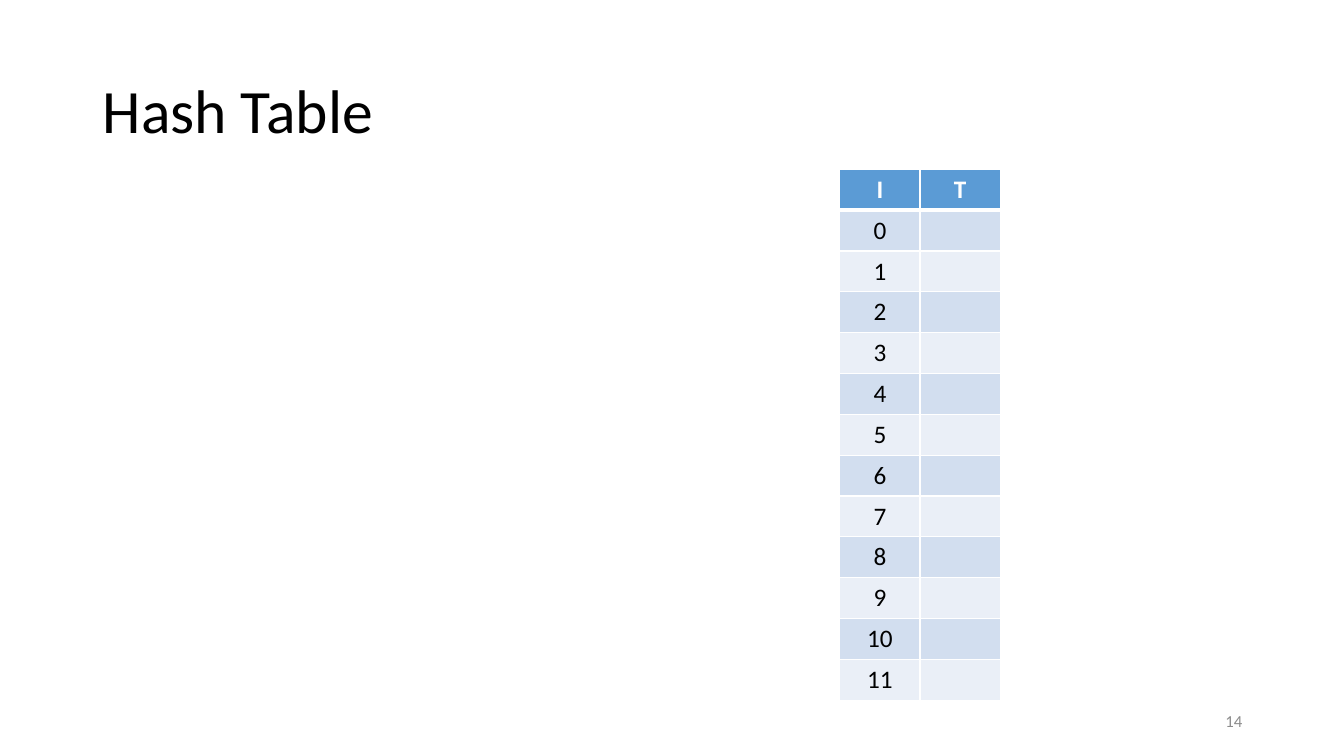
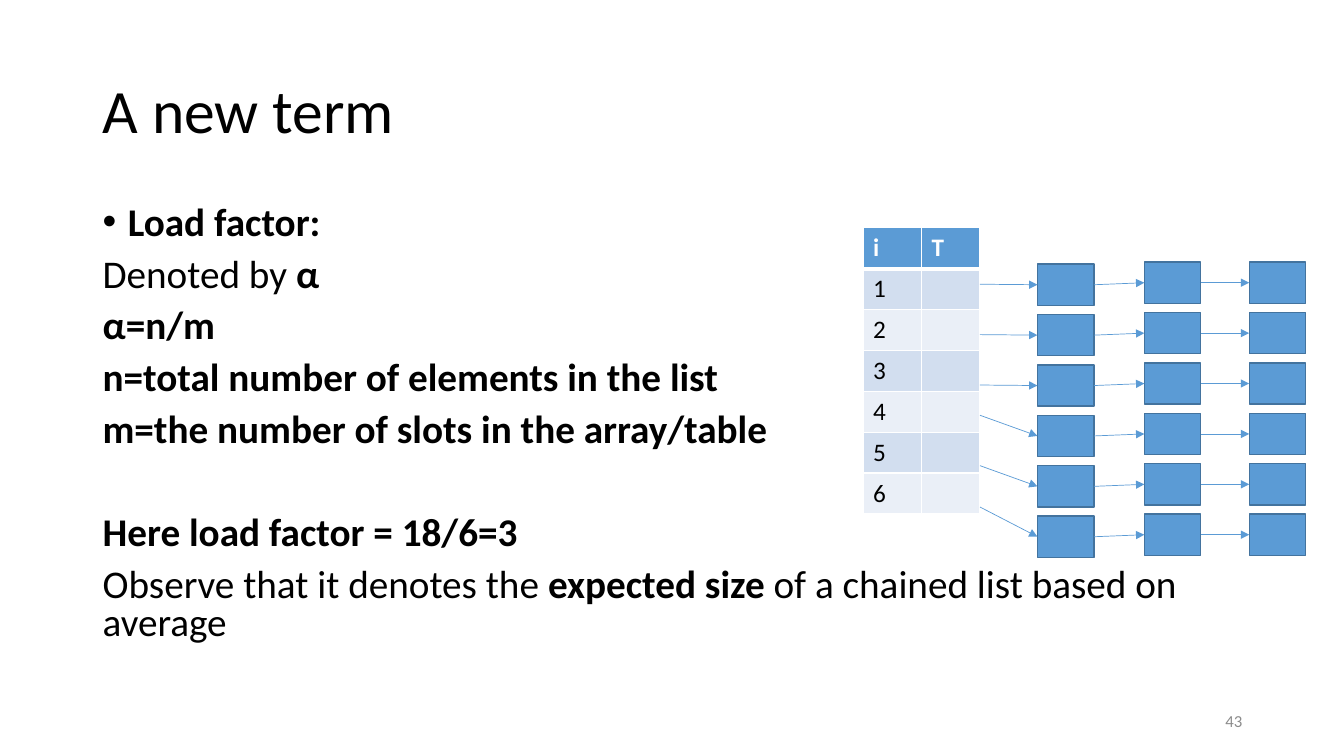
import pptx
import pptx.util
import pptx.dml.color
import pptx.enum.shapes
import pptx.enum.text
import pptx.oxml.ns
from dataclasses import dataclass
from lxml import etree

Inches = pptx.util.Inches
Pt = pptx.util.Pt
ALIGN = pptx.enum.text.PP_ALIGN
ANCHOR = pptx.enum.text.MSO_ANCHOR
qn = pptx.oxml.ns.qn


@dataclass(frozen=True)
class Theme:
    font: str = "Calibri"
    ink: str = "000000"
    white: str = "FFFFFF"
    accent: str = "5B9BD5"
    outline: str = "43739E"
    bands: tuple = ("D2DEEF", "EAEFF7")
    muted: str = "8C8C8C"
    title_size: int = 44
    body_size: int = 28
    table_size: int = 18
    footer_size: int = 12


THEME = Theme()

HASH_TABLE = {"title": "Hash Table", "number": "14", "header": ("I", "T"), "slots": range(12)}
LOAD_FACTOR = {"title": "A new term", "number": "43", "header": ("i", "T"), "slots": range(1, 7)}

# Each paragraph: (bulleted, space before in points, [(text, bold), ...])
GAP, WIDE_GAP = 10, 47
LOAD_FACTOR_TEXT = [
    (True, GAP, [("Load factor:", True)]),
    (False, GAP, [("Denoted by ", False), ("α", True)]),
    (False, GAP, [("α=n/m", True)]),
    (False, GAP, [("n=total number of elements in the list", True)]),
    (False, GAP, [("m=the number of slots in the array/table", True)]),
    (False, WIDE_GAP, [("Here load factor = 18/6=3", True)]),
    (False, GAP, [("Observe that it denotes the ", False), ("expected size", True),
                  (" of a chained list based on average", False)]),
]

# Chained lists: arrow heights at the table edge, then the grid of nodes
TABLE_EDGE = 9.72
ARROW_STARTS = (2.82, 3.32, 3.82, 4.12, 4.62, 5.03)
NODE_COLUMNS = ((10.29, 2.62), (11.35, 2.6), (12.39, 2.6))
NODE_WIDTH, NODE_HEIGHT, CHAIN_PITCH = 0.56, 0.41, 0.5


def color(value):
    return pptx.dml.color.RGBColor.from_string(value)


def add_run(paragraph, text, size, ink=THEME.ink, bold=False):
    run = paragraph.add_run()
    run.text = text
    run.font.name = THEME.font
    run.font.size = Pt(size)
    run.font.bold = bold
    run.font.color.rgb = color(ink)


def add_text_frame(slide, left, top, width, height, anchor):
    box = slide.shapes.add_textbox(Inches(left), Inches(top), Inches(width), Inches(height))
    frame = box.text_frame
    frame.word_wrap = True
    frame.vertical_anchor = anchor
    return frame


def add_slide(presentation, content):
    """Add a blank slide with the shared title and slide number."""
    slide = presentation.slides.add_slide(presentation.slide_layouts[6])
    title = add_text_frame(slide, 0.92, 0.4, 11.5, 1.45, ANCHOR.MIDDLE).paragraphs[0]
    title.line_spacing = 0.9
    add_run(title, content["title"], THEME.title_size)
    number = add_text_frame(slide, 9.42, 6.95, 3, 0.4, ANCHOR.MIDDLE).paragraphs[0]
    number.alignment = ALIGN.RIGHT
    add_run(number, content["number"], THEME.footer_size, THEME.muted)
    return slide


def set_borders(cell, top, bottom):
    """Draw white cell edges; top and bottom are widths in points."""
    properties = cell._tc.get_or_add_tcPr()
    for side, width in (("L", 1), ("R", 1), ("T", top), ("B", bottom)):
        line = etree.SubElement(properties, qn(f"a:ln{side}"), w=str(Pt(width)))
        fill = etree.SubElement(line, qn("a:solidFill"))
        etree.SubElement(fill, qn("a:srgbClr"), val=THEME.white)


def add_slot_table(slide, content, left, top, width, height, alignment):
    rows = [content["header"]] + [(str(slot), "") for slot in content["slots"]]
    table = slide.shapes.add_table(len(rows), 2, Inches(left), Inches(top),
                                   Inches(width), Inches(height)).table
    table.horz_banding = False
    for row_index, row in enumerate(rows):
        is_header = row_index == 0
        for column_index, text in enumerate(row):
            cell = table.cell(row_index, column_index)
            set_borders(cell, 3 if row_index == 1 else 1, 3 if is_header else 1)
            cell.fill.solid()
            cell.fill.fore_color.rgb = color(
                THEME.accent if is_header else THEME.bands[(row_index - 1) % 2])
            if text:
                paragraph = cell.text_frame.paragraphs[0]
                paragraph.alignment = alignment
                add_run(paragraph, text, THEME.table_size,
                        THEME.white if is_header else THEME.ink, is_header)


def add_body(slide, paragraphs):
    frame = add_text_frame(slide, 0.92, 2, 11.5, 4.76, ANCHOR.TOP)
    for index, (bulleted, space_before, runs) in enumerate(paragraphs):
        paragraph = frame.add_paragraph() if index else frame.paragraphs[0]
        paragraph.line_spacing = 0.8
        paragraph.space_before = Pt(space_before)
        if bulleted:
            properties = paragraph._p.get_or_add_pPr()
            properties.set("marL", str(Inches(0.25)))
            properties.set("indent", str(Inches(-0.25)))
            etree.SubElement(properties, qn("a:buFont"), typeface="Arial")
            etree.SubElement(properties, qn("a:buChar"), char="•")
        for text, bold in runs:
            add_run(paragraph, text, THEME.body_size, bold=bold)


def add_node(slide, left, top):
    node = slide.shapes.add_shape(pptx.enum.shapes.MSO_SHAPE.RECTANGLE, Inches(left), Inches(top),
                                  Inches(NODE_WIDTH), Inches(NODE_HEIGHT))
    node.shadow.inherit = False
    node.fill.solid()
    node.fill.fore_color.rgb = color(THEME.accent)
    node.line.color.rgb = color(THEME.outline)
    node.line.width = Pt(1)
    return node


def add_arrow(slide, start_y, previous, node):
    """Point at a node from the previous one, or from the table when there is none."""
    start = Inches(TABLE_EDGE), Inches(start_y)
    arrow = slide.shapes.add_connector(pptx.enum.shapes.MSO_CONNECTOR.STRAIGHT,
                                       *start, node.left, node.top)
    if previous is not None:
        arrow.begin_connect(previous, 3)
    arrow.end_connect(node, 1)
    arrow.line.color.rgb = color(THEME.accent)
    arrow.line.width = Pt(0.5)
    etree.SubElement(arrow.line._get_or_add_ln(), qn("a:tailEnd"), type="triangle")
    etree.SubElement(arrow._element.spPr, qn("a:effectLst"))


def add_chains(slide):
    for index, start_y in enumerate(ARROW_STARTS):
        previous = None
        for left, first_top in NODE_COLUMNS:
            node = add_node(slide, left, first_top + index * CHAIN_PITCH)
            add_arrow(slide, start_y, previous, node)
            previous = node


def main():
    presentation = pptx.Presentation()
    presentation.slide_width = Inches(13.33)
    presentation.slide_height = Inches(7.5)

    slide = add_slide(presentation, HASH_TABLE)
    add_slot_table(slide, HASH_TABLE, 8.33, 1.68, 1.59, 5.27, ALIGN.CENTER)

    slide = add_slide(presentation, LOAD_FACTOR)
    add_body(slide, LOAD_FACTOR_TEXT)
    add_slot_table(slide, LOAD_FACTOR, 8.56, 2.26, 1.16, 2.84, ALIGN.LEFT)
    add_chains(slide)

    presentation.save("out.pptx")


if __name__ == "__main__":
    main()
